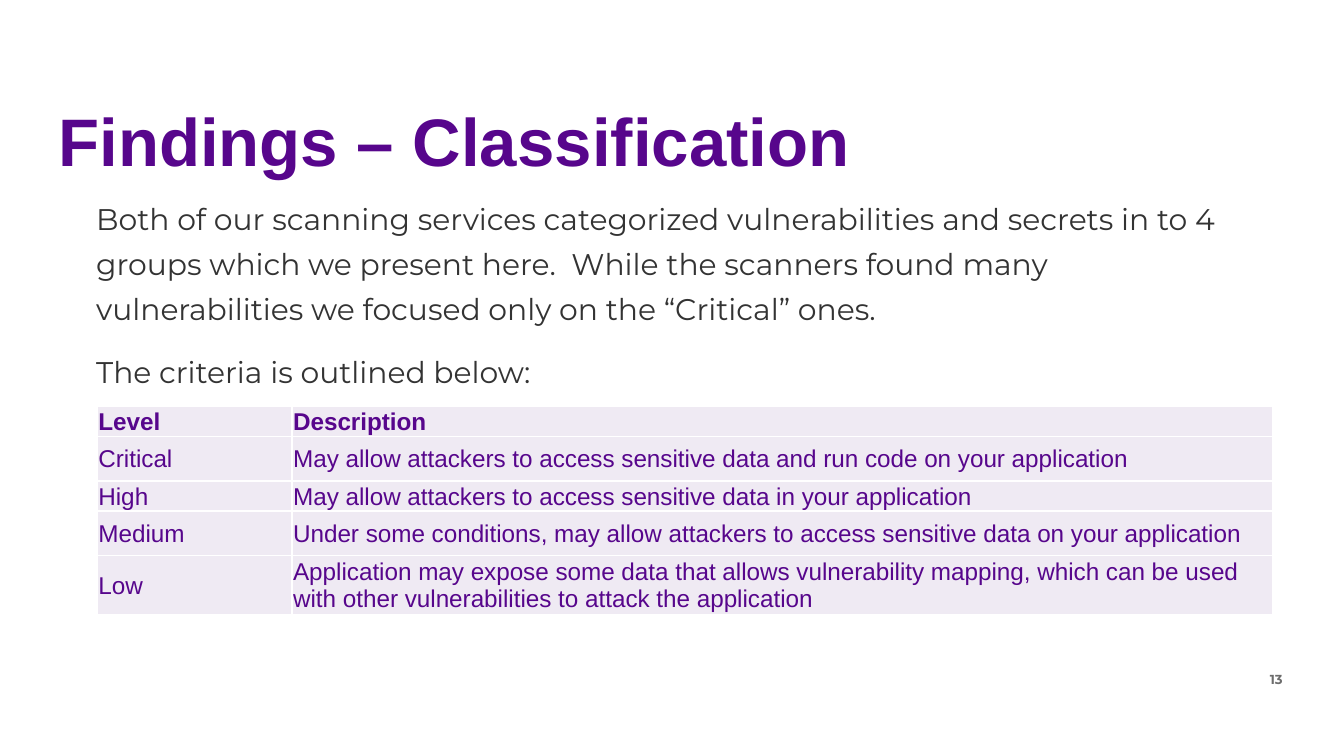
from dataclasses import dataclass

from lxml import etree
from pptx import Presentation
from pptx import util as u
from pptx.dml.color import RGBColor
from pptx.enum import text
from pptx.oxml.ns import qn

COLOURS = {
    "violet": "57068C",
    "lilac": "EFEAF3",
    "body": "333333",
    "number": "6D6D6D",
    "border": "FFFFFF",
}


@dataclass(frozen=True)
class Style:
    font: str
    size: float
    colour: str
    bold: bool = False


@dataclass(frozen=True)
class Paragraph:
    words: str
    spacing: float = 1.0
    before: float = 0
    after: float = 0
    align: text.PP_ALIGN = text.PP_ALIGN.LEFT


@dataclass(frozen=True)
class TextBlock:
    left: float
    top: float
    width: float
    height: float
    style: Style
    paragraphs: tuple[Paragraph, ...]


TITLE = Style("Arial", 36, "violet", True)
BODY = Style("Montserrat", 16, "body")
NUMBER = Style("Montserrat", 7, "number", True)
HEADING = Style("Arial", 13, "violet", True)
ENTRY = Style("Arial", 13, "violet")

BLOCKS = (
    TextBlock(12.83, 12.55, 11.66, 0.86, NUMBER,
              (Paragraph("13", align=text.PP_ALIGN.RIGHT),)),
    TextBlock(0.86, 1.47, 23.39, 1.6, TITLE,
              (Paragraph("Findings – Classification", spacing=1.1),)),
    TextBlock(1.57, 3.38, 22.23, 4.29, BODY, (
        Paragraph("Both of our scanning services categorized vulnerabilities and "
                  "secrets in to 4 groups which we present here.  While the "
                  "scanners found many vulnerabilities we focused only on the "
                  "“Critical” ones.", spacing=1.25),
        Paragraph("The criteria is outlined below:", spacing=1.25,
                  before=10, after=10),
    )),
)

COLUMN_WIDTHS = (3.68, 18.54)
SHORT_ROW, TALL_ROW = 0.43, 0.84
LEVELS = (
    (SHORT_ROW, "Level", "Description"),
    (TALL_ROW, "Critical", "May allow attackers to access sensitive data and run "
                           "code on your application"),
    (SHORT_ROW, "High", "May allow attackers to access sensitive data in your "
                        "application"),
    (TALL_ROW, "Medium", "Under some conditions, may allow attackers to access "
                         "sensitive data on your application"),
    (TALL_ROW, "Low", "Application may expose some data that allows vulnerability "
                      "mapping, which can be used with other vulnerabilities to "
                      "attack the application"),
)


def colour(name: str) -> RGBColor:
    return RGBColor.from_string(COLOURS[name])


def add_span(para, words: str, style: Style) -> None:
    span = para.add_run()
    span.text = words
    span.font.name = style.font
    span.font.size = u.Pt(style.size)
    span.font.bold = style.bold
    span.font.color.rgb = colour(style.colour)


def draw_text(page, block: TextBlock) -> None:
    box = page.shapes.add_textbox(u.Cm(block.left), u.Cm(block.top),
                                  u.Cm(block.width), u.Cm(block.height))
    frame = box.text_frame
    frame.word_wrap = True
    frame.margin_left = frame.margin_right = u.Cm(0.25)
    frame.margin_top = frame.margin_bottom = u.Cm(0.25)
    for index, item in enumerate(block.paragraphs):
        para = frame.add_paragraph() if index else frame.paragraphs[0]
        para.alignment = item.align
        para.line_spacing = item.spacing
        para.space_before = u.Pt(item.before)
        para.space_after = u.Pt(item.after)
        add_span(para, item.words, block.style)


def add_borders(cell) -> None:
    properties = cell._tc.get_or_add_tcPr()
    for position, side in enumerate(("a:lnL", "a:lnR", "a:lnT", "a:lnB")):
        line = etree.Element(qn(side), w=str(u.Pt(1)))
        fill = etree.SubElement(line, qn("a:solidFill"))
        etree.SubElement(fill, qn("a:srgbClr"), val=COLOURS["border"])
        properties.insert(position, line)


def draw_cell(cell, words: str, style: Style) -> None:
    cell.fill.solid()
    cell.fill.fore_color.rgb = colour("lilac")
    cell.vertical_anchor = text.MSO_ANCHOR.MIDDLE
    cell.margin_left = cell.margin_right = cell.margin_top = u.Cm(0.02)
    cell.margin_bottom = u.Cm(0)
    add_span(cell.text_frame.paragraphs[0], words, style)
    add_borders(cell)


def draw_levels(page, left: float, top: float) -> None:
    height = sum(level[0] for level in LEVELS)
    table = page.shapes.add_table(len(LEVELS), len(COLUMN_WIDTHS), u.Cm(left),
                                  u.Cm(top), u.Cm(sum(COLUMN_WIDTHS)),
                                  u.Cm(height)).table
    for column, width in zip(table.columns, COLUMN_WIDTHS):
        column.width = u.Cm(width)
    for index, (row_height, *entries) in enumerate(LEVELS):
        table.rows[index].height = u.Cm(row_height)
        for cell, words in zip(table.rows[index].cells, entries):
            draw_cell(cell, words, ENTRY if index else HEADING)


def main() -> None:
    deck = Presentation()
    deck.slide_width, deck.slide_height = u.Cm(25.4), u.Cm(14.29)
    page = deck.slides.add_slide(deck.slide_layouts[6])

    # Page number, title and introduction
    for block in BLOCKS:
        draw_text(page, block)

    # Severity levels
    draw_levels(page, left=1.84, top=7.68)

    deck.save("out.pptx")


if __name__ == "__main__":
    main()
